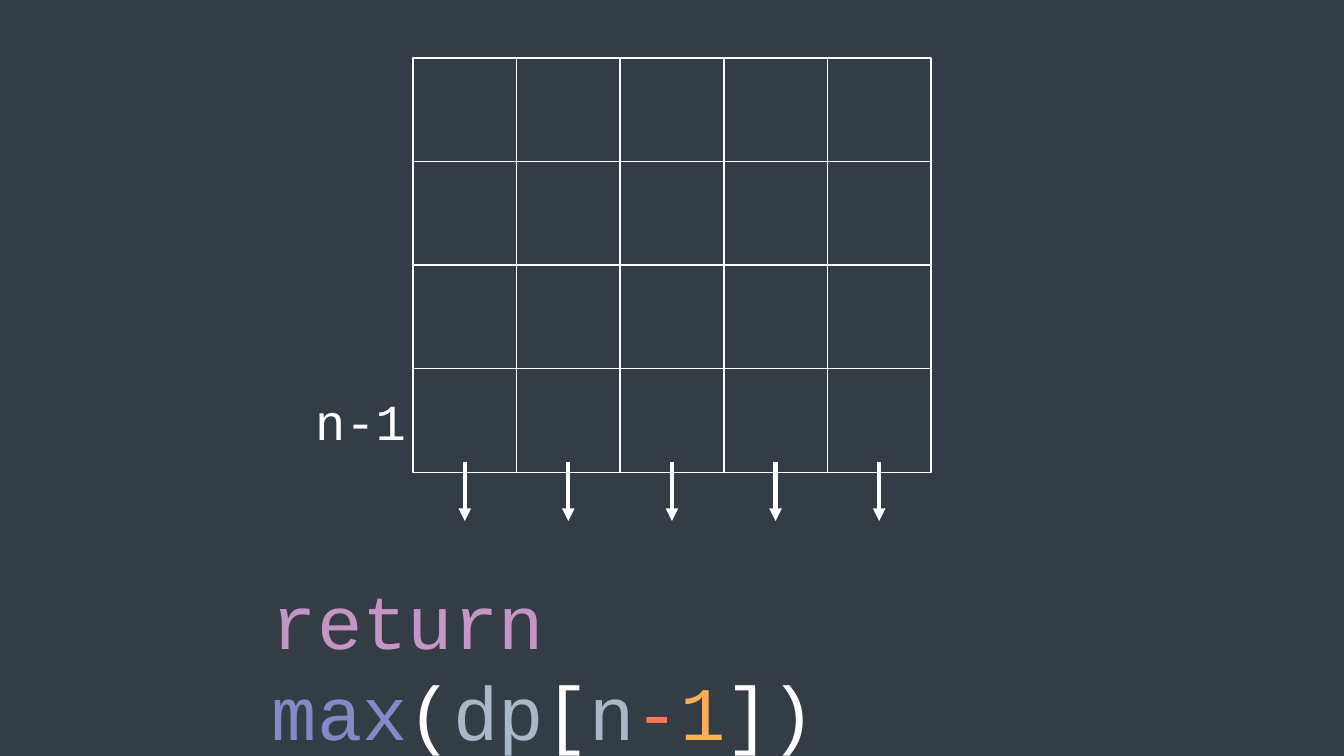
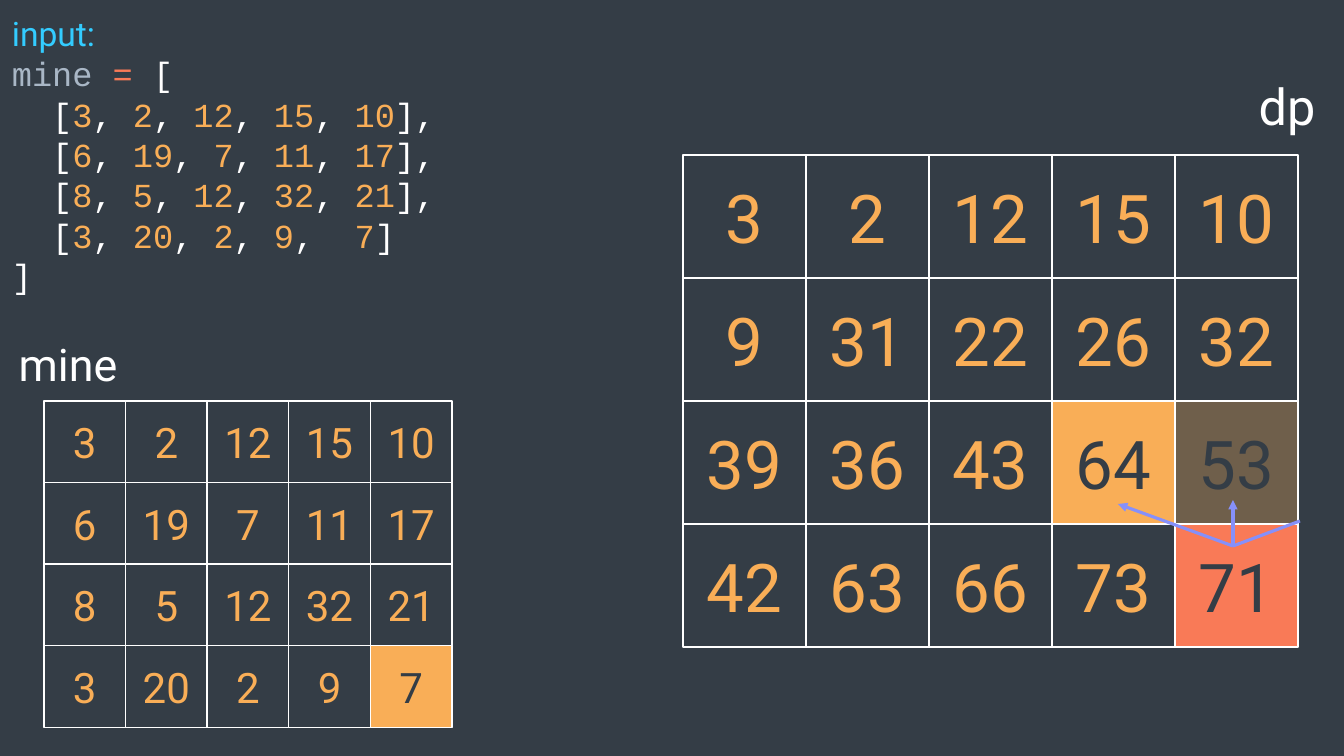
from itertools import groupby

from lxml import etree
from pptx import Presentation
from pptx.dml.color import RGBColor
from pptx.enum.shapes import MSO_CONNECTOR, MSO_SHAPE
from pptx.enum.text import MSO_ANCHOR, PP_ALIGN
from pptx.oxml.ns import qn
from pptx.util import Emu, Pt

EMU_PER_PX = 12192000 / 1344

SLATE = RGBColor(0x34, 0x3D, 0x46)
WHITE = RGBColor(0xFF, 0xFF, 0xFF)
ORANGE = RGBColor(0xF9, 0xAE, 0x57)
CORAL = RGBColor(0xF9, 0x7A, 0x57)
PINK = RGBColor(0xC6, 0x95, 0xC6)
VIOLET = RGBColor(0x88, 0x88, 0xC6)
GREY_BLUE = RGBColor(0xA9, 0xB7, 0xC6)
CYAN = RGBColor(0x33, 0xCC, 0xFF)
PERIWINKLE = RGBColor(0x86, 0x90, 0xFA)

SANS = "Roboto"
MONO = "Courier New"

MINE_ROWS = ("3, 2, 12, 15, 10", "6, 19, 7, 11, 17",
             "8, 5, 12, 32, 21", "3, 20, 2, 9,  7")
MINE = [[gold.strip() for gold in row.split(",")] for row in MINE_ROWS]
DP = [[3, 2, 12, 15, 10],
      [9, 31, 22, 26, 32],
      [39, 36, 43, 64, 53],
      [42, 63, 66, 73, 71]]
BLANK_GRID = [[""] * 5 for _ in range(4)]


def px(length):
    return Emu(round(length * EMU_PER_PX))


def write(paragraph, text, *, size, color=WHITE, font=SANS):
    """Append text to the paragraph, turning newlines into line breaks."""
    for index, line in enumerate(text.split("\n")):
        if index:
            paragraph.add_line_break()
        if line:
            run = paragraph.add_run()
            run.text = line
            run.font.size = Pt(size)
            run.font.name = font
            run.font.color.rgb = color


def write_code(paragraph, tokens, size):
    for text, color in tokens:
        write(paragraph, text, size=size, color=color, font=MONO)


class Deck:
    def __init__(self):
        self.presentation = Presentation()
        self.presentation.slide_width = px(1344)
        self.presentation.slide_height = px(756)
        self.slide = None

    def new_slide(self):
        self.slide = self.presentation.slides.add_slide(
            self.presentation.slide_layouts[6])
        background = self.slide.background.fill
        background.solid()
        background.fore_color.rgb = SLATE

    def box(self, left, top, width, height, fill=SLATE, opacity=100, border=None):
        shape = self.slide.shapes.add_shape(
            MSO_SHAPE.RECTANGLE, px(left), px(top), px(width), px(height))
        shape.shadow.inherit = False
        shape.fill.solid()
        shape.fill.fore_color.rgb = fill
        if opacity < 100:
            color = shape.fill._xPr.find(qn("a:solidFill"))[0]
            etree.SubElement(color, qn("a:alpha"), val=str(opacity * 1000))
        if border is None:
            shape.line.fill.background()
        else:
            shape.line.color.rgb = border
            shape.line.width = Pt(1)
        shape.text_frame.vertical_anchor = MSO_ANCHOR.MIDDLE
        return shape

    def grid(self, left, top, width, rows, size=30, highlights=None):
        """Draw square cells; highlights maps (row, column) to fill and opacity."""
        highlights = highlights or {}
        side = width / len(rows[0])
        for r, row in enumerate(rows):
            for c, value in enumerate(row):
                fill, opacity = highlights.get((r, c), (SLATE, 100))
                cell = self.box(left + c * side, top + r * side, side, side,
                                fill, opacity, border=WHITE)
                paragraph = cell.text_frame.paragraphs[0]
                paragraph.alignment = PP_ALIGN.CENTER
                write(paragraph, str(value), size=size,
                      color=SLATE if (r, c) in highlights else ORANGE)

    def text_area(self, left, top, width, height):
        frame = self.slide.shapes.add_textbox(
            px(left), px(top), px(width), px(height)).text_frame
        frame.word_wrap = True
        return frame

    def label(self, left, top, width, height, text, **style):
        paragraph = self.text_area(left, top, width, height).paragraphs[0]
        paragraph.alignment = PP_ALIGN.CENTER
        write(paragraph, text, **style)

    def line(self, start, end, color=WHITE, weight=3, arrow=True):
        connector = self.slide.shapes.add_connector(
            MSO_CONNECTOR.STRAIGHT, *map(px, start + end))
        connector.line.color.rgb = color
        connector.line.width = Pt(weight)
        if arrow:
            etree.SubElement(connector.line._get_or_add_ln(),
                             qn("a:tailEnd"), type="triangle")
        etree.SubElement(connector._element.spPr, qn("a:effectLst"))


def add_return_slide(deck):
    deck.new_slide()
    left, width = 413, 518
    deck.grid(left, 58, width, BLANK_GRID)
    columns = len(BLANK_GRID[0])
    for column in range(columns):
        x = left + (column + 0.5) * width / columns
        deck.line((x, 462), (x, 521))
    statement = deck.box(262, 614, 819, 102).text_frame
    statement.word_wrap = True
    statement.paragraphs[0].alignment = PP_ALIGN.LEFT
    write_code(statement.paragraphs[0], [
        ("return ", PINK), ("max", VIOLET), ("(", WHITE), ("dp", GREY_BLUE),
        ("[", WHITE), ("n", GREY_BLUE), ("-", CORAL), ("1", ORANGE),
        ("])", WHITE)], 54)
    deck.label(287, 385, 147, 72, "n-1", size=36, font=MONO)


def add_example_slide(deck):
    deck.new_slide()
    deck.grid(683, 155, 615, DP, size=48, highlights={
        (2, 3): (ORANGE, 100), (2, 4): (ORANGE, 30), (3, 4): (CORAL, 100)})

    source = deck.text_area(2, 8, 498, 295)
    write(source.paragraphs[0], "input:", size=24, color=CYAN)
    matrix = "[\n  [" + "],\n  [".join(MINE_ROWS) + "]\n]"
    literals = [("".join(chars), ORANGE if is_number else WHITE)
                for is_number, chars in groupby(matrix, str.isdigit)]
    write_code(source.add_paragraph(),
               [("mine ", GREY_BLUE), ("= ", CORAL)] + literals, 24)

    deck.grid(44, 401, 408, MINE, highlights={(3, 4): (ORANGE, 100)})
    deck.label(0, 332, 136, 65, "mine", size=32)
    deck.label(1230, 70, 114, 72, "dp", size=36)

    origin = (1233, 546)
    for target in ((1233, 500), (1118, 504)):
        deck.line(origin, target, PERIWINKLE, 2.25)
    deck.line(origin, (1300, 521), PERIWINKLE, 2.25, arrow=False)


def main():
    deck = Deck()
    add_return_slide(deck)
    add_example_slide(deck)
    deck.presentation.save("out.pptx")


if __name__ == "__main__":
    main()
